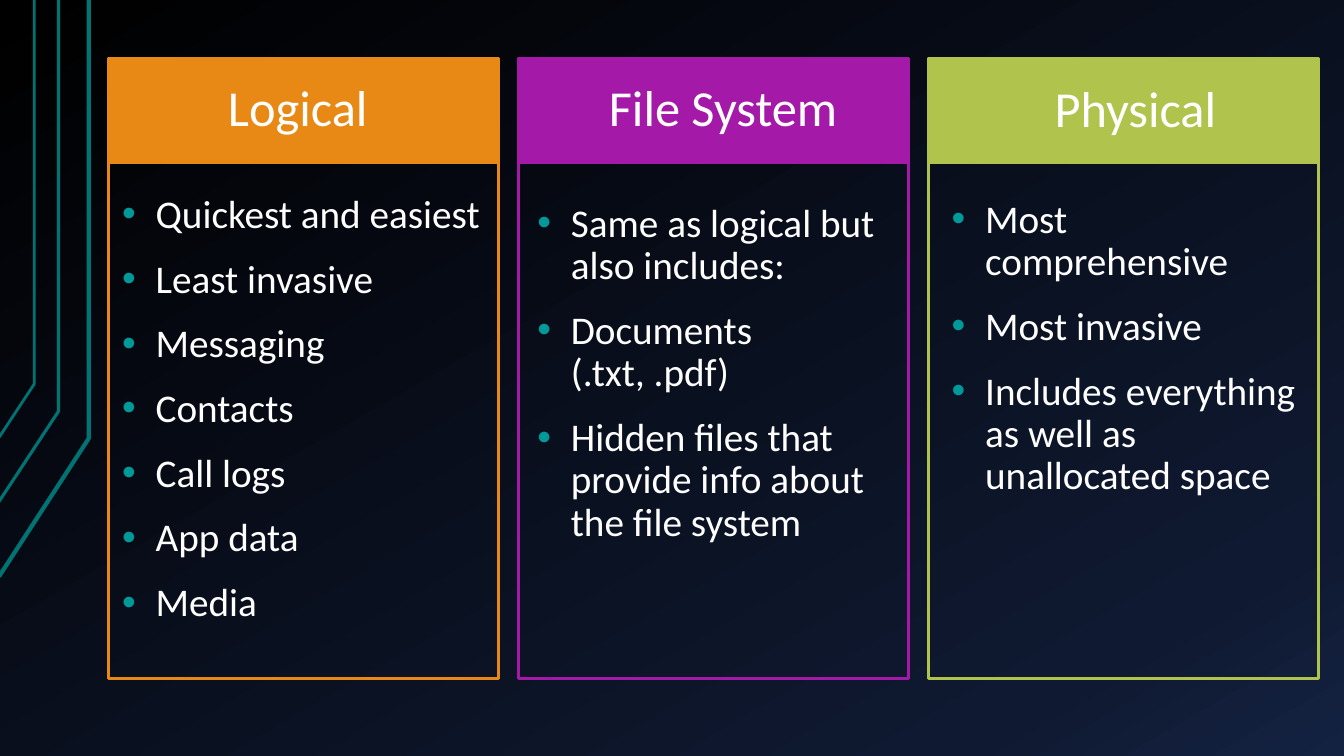
"""Build a slide that compares three kinds of phone data extraction."""
from copy import deepcopy
from dataclasses import dataclass

from lxml import etree
from pptx import Presentation
from pptx.dml.color import RGBColor
from pptx.enum.shapes import MSO_SHAPE
from pptx.enum.text import MSO_ANCHOR
from pptx.oxml.ns import qn
from pptx.util import Pt

RECT = MSO_SHAPE.RECTANGLE
TOP, BOTTOM = MSO_ANCHOR.TOP, MSO_ANCHOR.BOTTOM


@dataclass(frozen=True)
class Theme:
    """Colours, font and type sizes of the slide."""
    font: str = "Calibri"
    head: int = 36
    body: int = 28
    text: str = "FFFFFF"
    bullet: str = "009999"
    trace: str = "007373"
    back: tuple = ((0, "000000"), (0.85, "0F1931"), (1, "142242"))
    cards: tuple = ("E98915", "A419A7", "AFC34D")


THEME = Theme()
LEFT, STEP, WIDTH = 77.8, 292.7, 278.6
CARD_TOP, HEAD_TALL, CARD_TALL = 41.8, 74.2, 442.8
BODY_WIDE, BODY_TALL = 275.8, 351.4
INDENT = 24
HARD_GAP = chr(160)

CARDS = (
    ("Logical", (153.4, 39.6, 138.2, 63.4), (77.8, 133.9),
     ("Quickest and easiest", "Least invasive", "Messaging", "Contacts",
      "Call logs", "App data", "Media")),
    ("File System", (425.5, 39.6, 192.2, 63.4), (374.4, 140.4),
     ("Same as logical but also includes:",
      f"Documents (.txt,{HARD_GAP}.pdf)",
      "Hidden files that provide info about the file system")),
    ("Physical", (743.8, 45.4, 149.8, 58.3), (670.3, 137.5),
     ("Most comprehensive", "Most invasive",
      "Includes everything as well as unallocated space")),
)
TRACES = (
    (3, ((-0.7, 411.8), (63.4, 313.2), (63.4, 0))),
    (2.25, ((-1.4, 359.3), (41.8, 293.8), (41.8, 0))),
    (2, ((-0.7, 312.5), (24.5, 274.3), (24.5, 0))),
)


def put(item, values):
    """Set each named value on an item."""
    for name, value in values.items():
        setattr(item, name, value)


def rgb(code):
    """Turn a hex code into a colour."""
    return RGBColor.from_string(code)


def paint(slide):
    """Fill the background with the theme's gradient."""
    fill = slide.background.fill
    fill.gradient()
    fill.gradient_angle = 300
    stops = slide.element.find(".//" + qn("a:gsLst"))
    stops.append(deepcopy(stops[-1]))
    for stop, (place, code) in zip(fill.gradient_stops, THEME.back):
        stop.position = place
        stop.color.rgb = rgb(code)


def edge(shape, code, width):
    """Give a shape a plain outline and no shadow."""
    shape.shadow.inherit = False
    shape.line.color.rgb = rgb(code)
    shape.line.width = Pt(width)


def trace(slide, width, points):
    """Draw one bent line at the left margin."""
    pen = slide.shapes.build_freeform(
        Pt(points[0][0]), Pt(points[0][1]), scale=1.0)
    pen.add_line_segments(
        [(Pt(x), Pt(y)) for x, y in points[1:]], close=False)
    shape = pen.convert_to_shape()
    shape.fill.background()
    edge(shape, THEME.trace, width)


def panel(slide, left, tall, code, solid):
    """Draw a card's header band or its frame."""
    shape = slide.shapes.add_shape(
        RECT, Pt(left), Pt(CARD_TOP), Pt(WIDTH), Pt(tall))
    if solid:
        shape.fill.solid()
        shape.fill.fore_color.rgb = rgb(code)
    else:
        shape.fill.background()
    edge(shape, code, 2)


def mark(para):
    """Add a coloured bullet with a hanging indent."""
    props = para._p.get_or_add_pPr()
    props.set("marL", str(Pt(INDENT)))
    props.set("indent", str(-Pt(INDENT)))
    tint = etree.SubElement(props, qn("a:buClr"))
    etree.SubElement(tint, qn("a:srgbClr"), val=THEME.bullet)
    etree.SubElement(props, qn("a:buFont"), typeface="Arial")
    etree.SubElement(props, qn("a:buChar"), char="•")


def write(slide, area, lines, size, anchor, listed=False):
    """Write lines in a text box, as a list if asked."""
    frame = slide.shapes.add_textbox(*map(Pt, area)).text_frame
    put(frame, {
        "word_wrap": True, "vertical_anchor": anchor,
        "margin_left": Pt(9.4), "margin_right": Pt(9.4),
        "margin_top": Pt(5), "margin_bottom": Pt(5),
    })
    for index, line in enumerate(lines):
        para = frame.add_paragraph() if index else frame.paragraphs[0]
        if listed:
            mark(para)
        put(para, {"text": line, "line_spacing": 0.9,
                   "space_before": Pt(16 if index else 0)})
        put(para.font, {"name": THEME.font, "size": Pt(size)})
        para.font.color.rgb = rgb(THEME.text)


def card(slide, index, title, area, corner, items):
    """Build one column with its header, frame and list."""
    left, code = LEFT + index * STEP, THEME.cards[index]
    panel(slide, left, HEAD_TALL, code, True)
    write(slide, area, [title], THEME.head, BOTTOM)
    write(slide, (*corner, BODY_WIDE, BODY_TALL), items, THEME.body, TOP, True)
    panel(slide, left, CARD_TALL, code, False)


def main():
    """Build and save the slide."""
    deck = Presentation()
    put(deck, {"slide_width": Pt(960), "slide_height": Pt(540)})
    slide = deck.slides.add_slide(deck.slide_layouts[6])
    paint(slide)
    for width, points in TRACES:
        trace(slide, width, points)
    for index, parts in enumerate(CARDS):
        card(slide, index, *parts)
    deck.save("out.pptx")


if __name__ == "__main__":
    main()
